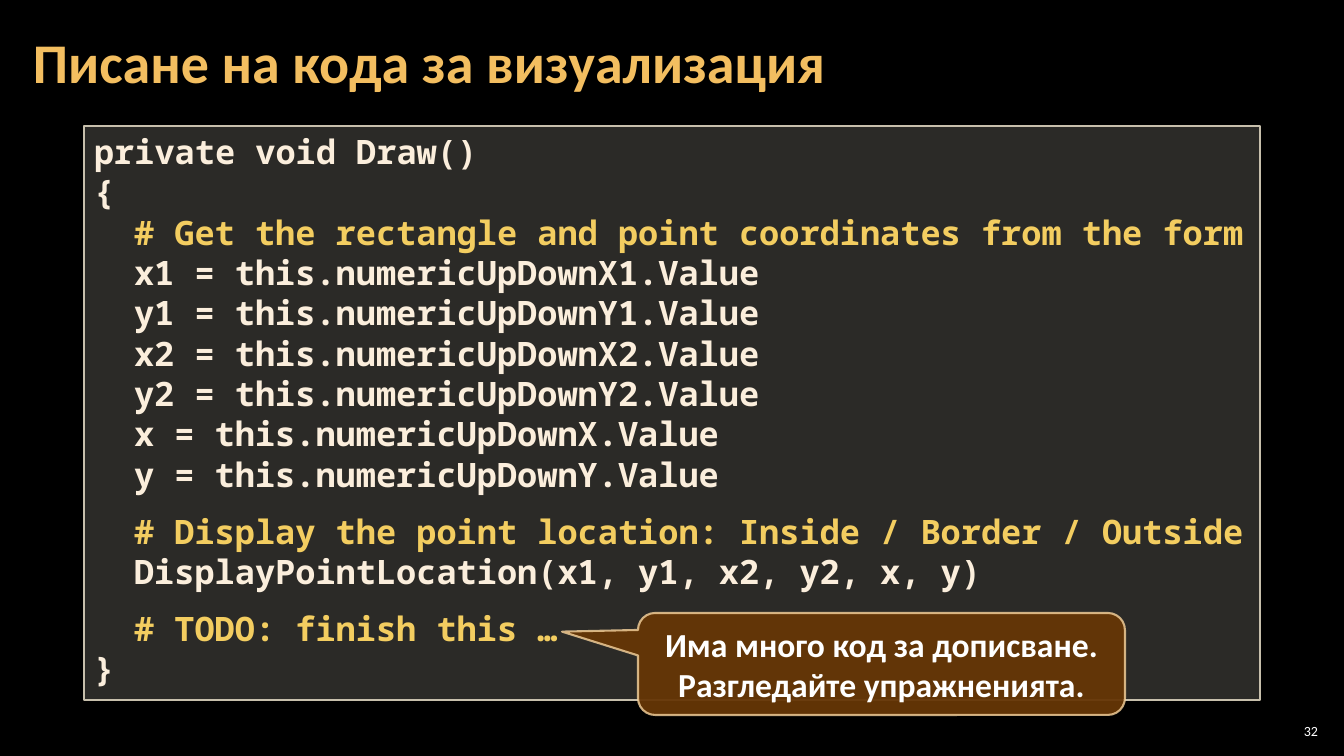
from dataclasses import dataclass

from lxml import etree
from pptx import Presentation
from pptx import util as u
from pptx.dml.color import RGBColor
from pptx.enum import shapes, text
from pptx.oxml.ns import qn


@dataclass(frozen=True)
class Theme:
    background: str = "000000"
    title: str = "F3BE60"
    white: str = "FFFFFF"
    code: str = "FBEEDC"
    comment: str = "F3CD60"
    panel: str = "D9D5C7"
    panel_line: str = "C7BFAC"
    callout: str = "663606"
    callout_line: str = "F8D49E"
    sans: str = "Calibri"
    mono: str = "Noto Sans Mono"
    title_size: int = 40
    body_size: int = 24
    number_size: int = 10


theme = Theme()
PX = 914400 / 100.8
LEFT, CENTER, RIGHT = text.PP_ALIGN.LEFT, text.PP_ALIGN.CENTER, text.PP_ALIGN.RIGHT


def px(*lengths):
    return [u.Emu(round(length * PX)) for length in lengths]


def add_span(para, words, font, size, color, bold=True):
    span = para.add_run()
    span.text = words
    span.font.name = font
    span.font.size = u.Pt(size)
    span.font.bold = bold
    span.font.color.rgb = RGBColor.from_string(color)


deck = Presentation()
deck.slide_width, deck.slide_height = px(1344, 756)
page = deck.slides.add_slide(deck.slide_layouts[5])
page.background.fill.solid()
page.background.fill.fore_color.rgb = RGBColor.from_string(theme.background)

title = page.shapes.title
title.left, title.top, title.width, title.height = px(21, 4, 1055, 122)
number = page.shapes.add_textbox(*px(1275, 720, 47, 21))
panel = page.shapes.add_shape(shapes.MSO_SHAPE.RECTANGLE, *px(84, 126, 1176, 574))
callout = page.shapes.add_shape(
    shapes.MSO_SHAPE.ROUNDED_RECTANGULAR_CALLOUT, *px(638, 613, 487, 102)
)
for index, value in enumerate((-0.656, -0.317, 0.167)):
    callout.adjustments[index] = value

for box, anchor, side, edge in (
    (title, text.MSO_ANCHOR.MIDDLE, 12, 4),
    (number, text.MSO_ANCHOR.MIDDLE, 4, 4),
    (panel, text.MSO_ANCHOR.TOP, 10, 5),
    (callout, text.MSO_ANCHOR.MIDDLE, 10, 5),
):
    frame = box.text_frame
    frame.word_wrap = True
    frame.auto_size = text.MSO_AUTO_SIZE.NONE
    frame.vertical_anchor = anchor
    frame.margin_left, frame.margin_right = px(side, side)
    frame.margin_top, frame.margin_bottom = px(edge, edge)

for box, fill, opacity, line, width, line_opacity in (
    (panel, theme.panel, 20, theme.panel_line, 1, 100),
    (callout, theme.callout, 95, theme.callout_line, 1.5, 80),
):
    box.shadow.inherit = False
    box.fill.solid()
    box.fill.fore_color.rgb = RGBColor.from_string(fill)
    box.line.color.rgb = RGBColor.from_string(line)
    box.line.width = u.Pt(width)
    properties = box.fill._xPr
    outline = properties.find(qn("a:ln"))
    for parent, percent in ((properties, opacity), (outline, line_opacity)):
        color = parent.find(qn("a:solidFill")).find(qn("a:srgbClr"))
        etree.SubElement(color, qn("a:alpha")).set("val", str(percent * 1000))

for box, words, size, color, align, bold in (
    (title, "Писане на кода за визуализация", theme.title_size, theme.title, LEFT, True),
    (number, "32", theme.number_size, theme.white, RIGHT, False),
    (callout, "Има много код за дописване. Разгледайте упражненията.",
     theme.body_size, theme.white, CENTER, True),
):
    para = box.text_frame.paragraphs[0]
    para.alignment = align
    add_span(para, words, theme.sans, size, color, bold)
title.text_frame.paragraphs[0].line_spacing = 0.9

code_lines = (
    ("private void Draw()", 0, 0),
    ("{", 0, 0),
    ("# Get the rectangle and point coordinates from the form", 1, 0),
    ("x1 = this.numericUpDownX1.Value", 1, 0),
    ("y1 = this.numericUpDownY1.Value", 1, 0),
    ("x2 = this.numericUpDownX2.Value", 1, 0),
    ("y2 = this.numericUpDownY2.Value", 1, 0),
    ("x = this.numericUpDownX.Value", 1, 0),
    ("y = this.numericUpDownY.Value", 1, 0),
    ("# Display the point location: Inside / Border / Outside", 1, 12),
    ("DisplayPointLocation(x1, y1, x2, y2, x, y)", 1, 0),
    ("# TODO: finish this …", 1, 12),
    ("}", 0, 0),
)
for index, (words, depth, gap) in enumerate(code_lines):
    frame = panel.text_frame
    para = frame.add_paragraph() if index else frame.paragraphs[0]
    para.alignment = LEFT
    para.space_before = u.Pt(gap)
    indent = para._p.get_or_add_pPr()
    indent.set("marL", str(px(40 * depth)[0]))
    indent.set("indent", "0")
    color = theme.comment if words.startswith("#") else theme.code
    add_span(para, words, theme.mono, theme.body_size, color)

deck.save("out.pptx")
